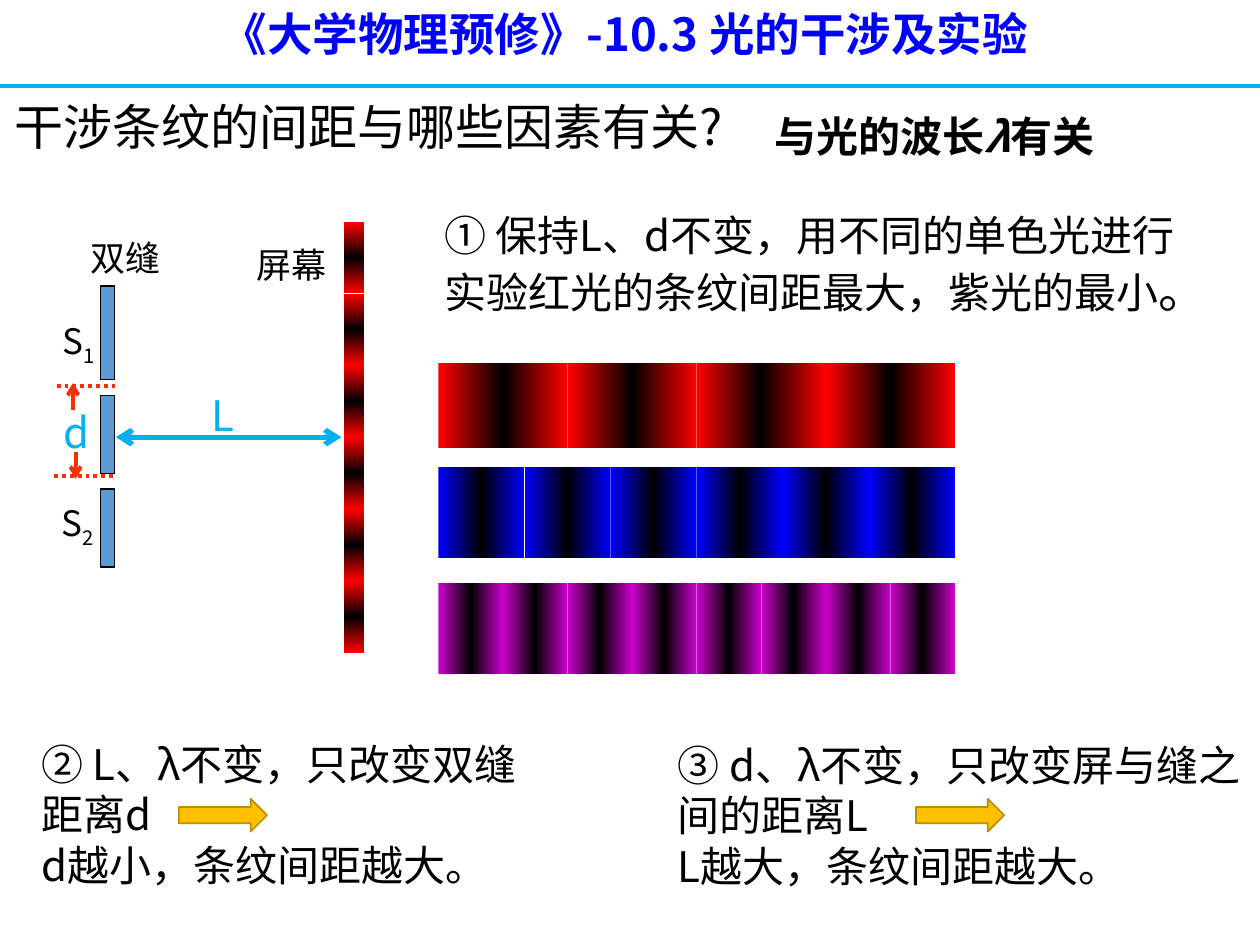
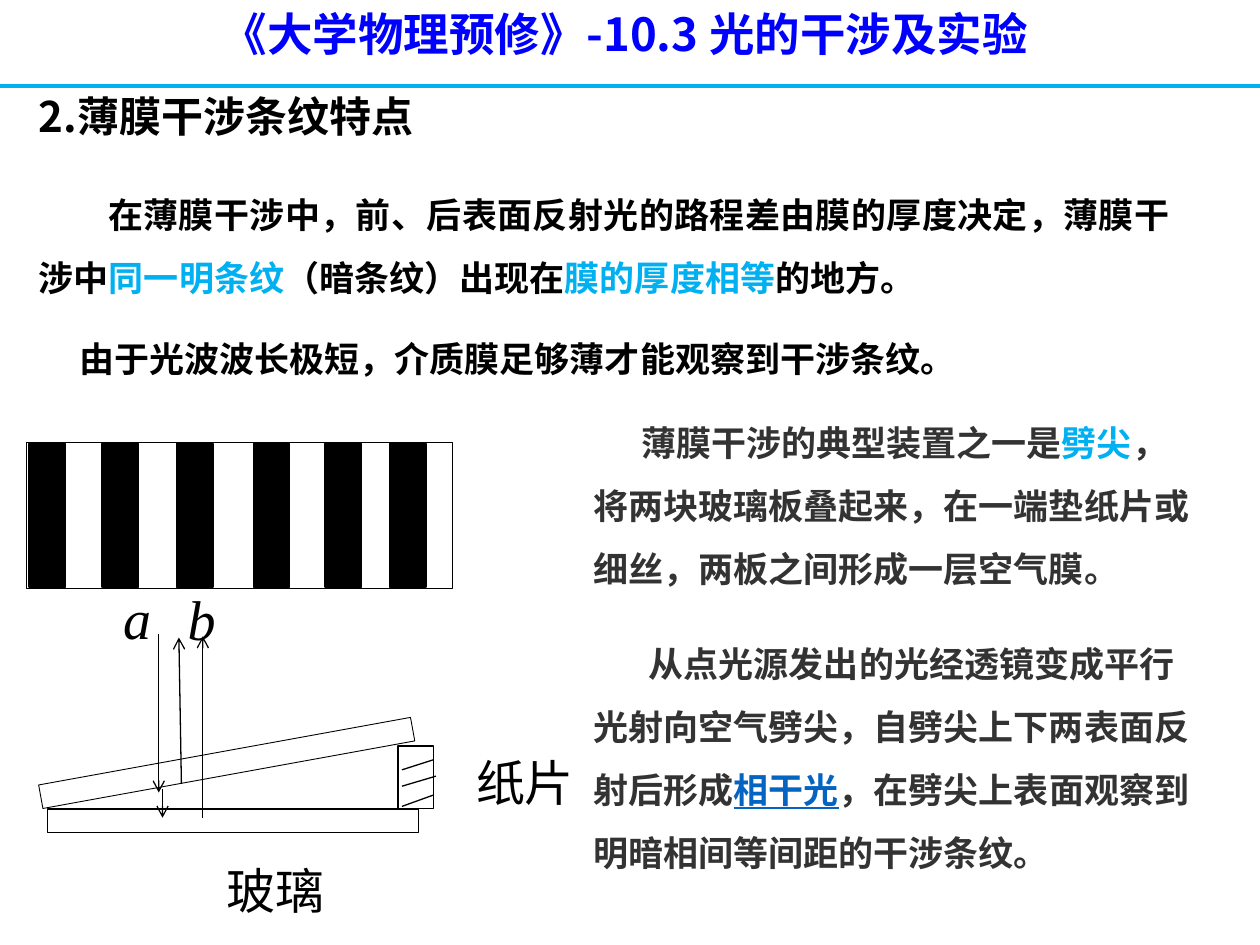
from dataclasses import dataclass
from functools import partial
from typing import NamedTuple, Optional

from lxml import etree
from pptx import Presentation
from pptx.dml.color import RGBColor
from pptx.enum.dml import MSO_LINE_DASH_STYLE as Dash
from pptx.enum.shapes import MSO_CONNECTOR, MSO_SHAPE as Preset
from pptx.enum.text import MSO_AUTO_SIZE as AutoSize, PP_ALIGN as Align
from pptx.oxml import parse_xml
from pptx.oxml.ns import nsdecls, qn
from pptx.util import Inches, Pt

CJK, SERIF = "Noto Sans CJK SC", "Times New Roman"
BLACK, WHITE, GREY = "000000", "FFFFFF", "333333"
SKY, TITLE_BLUE, LINK_BLUE = "00B0F0", "0000FF", "0563C1"
SLIT_BLUE, MARK_RED, GOLD, GOLD_EDGE = "5B9BD5", "F2310A", "FFC000", "BD8E00"


class Box(NamedTuple):
    left: float
    top: float
    width: float
    height: float


@dataclass(frozen=True)
class Run:
    text: str
    size: float = 24
    color: str = BLACK
    bold: bool = False
    italic: bool = False
    underline: bool = False
    subscript: bool = False
    font: str = CJK


@dataclass(frozen=True)
class Para:
    runs: tuple[Run, ...]
    align: Align = Align.LEFT
    spacing: Optional[float] = None
    before: float = 0
    indent: float = 0


@dataclass(frozen=True)
class Label:
    box: Box
    run: Run
    wrap: bool = False
    grow: bool = True
    align: Align = Align.LEFT


@dataclass(frozen=True)
class Stroke:
    start: tuple[float, float]
    end: tuple[float, float]
    color: str = BLACK
    width: float = 0.75
    head: bool = False
    tail: bool = False
    dotted: bool = False


@dataclass(frozen=True)
class FringeRow:
    color: str
    count: int
    top: float
    height: float


def rgb(color: str) -> RGBColor:
    return RGBColor.from_string(color)


def add_text(slide, box: Box, paras: list[Para], wrap: bool = True, grow: bool = True) -> None:
    frame = slide.shapes.add_textbox(*map(Inches, box)).text_frame
    frame.word_wrap = wrap
    frame.auto_size = AutoSize.SHAPE_TO_FIT_TEXT if grow else AutoSize.NONE
    for number, para in enumerate(paras):
        line = frame.add_paragraph() if number else frame.paragraphs[0]
        line.alignment = para.align
        if para.spacing:
            line.line_spacing = para.spacing
        if para.before:
            line.space_before = Pt(para.before)
        if para.indent:
            line._p.get_or_add_pPr().set("indent", str(Inches(para.indent)))
        for part in para.runs:
            add_run(line, part)


def add_run(line, part: Run) -> None:
    run = line.add_run()
    run.text = part.text
    font = run.font
    font.name, font.size = part.font, Pt(part.size)
    font.bold, font.italic, font.underline = part.bold, part.italic, part.underline
    font.color.rgb = rgb(part.color)
    properties = run._r.get_or_add_rPr()
    etree.SubElement(properties, qn("a:ea")).set("typeface", CJK)
    if part.subscript:
        properties.set("baseline", "-25000")


def add_label(slide, label: Label) -> None:
    add_text(slide, label.box, [Para((label.run,), label.align)], label.wrap, label.grow)


def add_block(slide, box: Box, fill: str, edge: Optional[str] = BLACK,
              width: float = 0.75, preset: Preset = Preset.RECTANGLE):
    block = slide.shapes.add_shape(preset, *map(Inches, box))
    block.shadow.inherit = False
    block.fill.solid()
    block.fill.fore_color.rgb = rgb(fill)
    if edge:
        block.line.color.rgb = rgb(edge)
        block.line.width = Pt(width)
    else:
        block.line.fill.background()
    return block


def add_fringe(slide, box: Box, color: str, angle: int = 0) -> None:
    """Draw one fringe period: bright, dark, bright."""
    properties = add_block(slide, box, color, edge=None)._element.spPr
    stops = "".join(f'<a:gs pos="{place * 1000}"><a:srgbClr val="{shade}"/></a:gs>'
                    for place, shade in ((0, color), (50, BLACK), (100, color)))
    gradient = parse_xml(f'<a:gradFill {nsdecls("a")} rotWithShape="1"><a:gsLst>{stops}</a:gsLst>'
                         f'<a:lin ang="{angle * 60000}" scaled="1"/></a:gradFill>')
    properties.replace(properties.find(qn("a:solidFill")), gradient)


def add_stroke(slide, stroke: Stroke) -> None:
    line = slide.shapes.add_connector(MSO_CONNECTOR.STRAIGHT,
                                      *map(Inches, stroke.start + stroke.end))
    line.line.color.rgb = rgb(stroke.color)
    line.line.width = Pt(stroke.width)
    if stroke.dotted:
        line.line.dash_style = Dash.ROUND_DOT
    outline = line.line._get_or_add_ln()
    for tag, wanted in (("a:headEnd", stroke.head), ("a:tailEnd", stroke.tail)):
        if wanted:
            etree.SubElement(outline, qn(tag)).set("type", "arrow")
    etree.SubElement(line._element.spPr, qn("a:effectLst"))


def new_slide(deck):
    """Add a slide with the course heading and its rule."""
    slide = deck.slides.add_slide(deck.slide_layouts[6])
    heading = Run("《大学物理预修》-10.3 光的干涉及实验", 26, TITLE_BLUE, bold=True)
    add_label(slide, Label(Box(1.21, 0, 7.5, 0.54), heading, wrap=True, align=Align.CENTER))
    add_stroke(slide, Stroke((0, 0.68), (10, 0.68), SKY, 2.25))
    return slide


def draw_double_slit(slide) -> None:
    for top, height in ((2.27, 0.74), (3.14, 0.62), (3.88, 0.62)):
        add_block(slide, Box(0.8, top, 0.11, height), SLIT_BLUE)
    for name, box in (("双缝", Box(0.62, 1.83, 0.76, 0.44)), ("屏幕", Box(1.94, 1.88, 0.76, 0.43))):
        add_label(slide, Label(box, Run(name, 20)))
    for number, left, top in (("1", 0.4, 2.49), ("2", 0.39, 3.93)):
        source = Para((Run("S", 20), Run(number, 20, subscript=True)))
        add_text(slide, Box(left, top, 0.47, 0.44), [source], wrap=False)

    period = 0.57
    for row in range(6):
        for left in (2.73, 2.81):
            add_fringe(slide, Box(left, 1.76 + row * period, 0.08, period), "FF0000", 90)

    add_label(slide, Label(Box(1.58, 3.04, 0.39, 0.5), Run("L", color=SKY)))
    add_label(slide, Label(Box(0.41, 3.18, 0.53, 0.5), Run("d", color=SKY)))
    mark = partial(Stroke, color=MARK_RED, width=2.25)
    for stroke in (
        Stroke((0.92, 3.47), (2.71, 3.47), SKY, 3, head=True, tail=True),
        mark((0.45, 3.06), (0.94, 3.06), dotted=True),
        mark((0.43, 3.78), (0.92, 3.78), dotted=True),
        mark((0.58, 3.25), (0.58, 3.04), tail=True),
        mark((0.6, 3.59), (0.6, 3.8), tail=True),
    ):
        add_stroke(slide, stroke)


def draw_spectrum(slide) -> None:
    left, total = 3.48, 4.1
    for row in (FringeRow("FF0000", 4, 2.88, 0.68), FringeRow("0000FF", 6, 3.71, 0.72),
                FringeRow("CC00CC", 8, 4.63, 0.72)):
        period = total / row.count
        for number in range(row.count):
            add_fringe(slide, Box(left + number * period, row.top, period, row.height), row.color)


def build_spacing_slide(deck) -> None:
    slide = new_slide(deck)
    draw_double_slit(slide)
    draw_spectrum(slide)
    question = Run("干涉条纹的间距与哪些因素有关?", 28)
    add_label(slide, Label(Box(0.02, 0.72, 5.83, 0.57), question, wrap=True))
    add_text(slide, Box(6.05, 0.83, 3.25, 0.5), [Para((
        Run("与光的波长", bold=True), Run("λ", bold=True, italic=True), Run("有关", bold=True)))])
    add_text(slide, Box(3.43, 1.61, 6.25, 0.98), [Para((
        Run("① 保持L、d不变，用不同的单色光进行实验红光的条纹间距最大，紫光的最小"),
        Run("。", 28)))])
    for box, change, effect, arrow_left in (
        (Box(5.28, 5.82, 4.68, 1.31), "③ d、λ不变，只改变屏与缝之间的距离L",
         "L越大，条纹间距越大。", 7.27),
        (Box(0.23, 5.81, 4.27, 1.31), "② L、λ不变，只改变双缝距离d",
         "d越小，条纹间距越大。", 1.42),
    ):
        add_text(slide, box, [Para((Run(change),)), Para((Run(effect),))])
        add_block(slide, Box(arrow_left, 6.34, 0.7, 0.26), GOLD, GOLD_EDGE, 1, Preset.RIGHT_ARROW)


def draw_wedge(slide) -> None:
    add_block(slide, Box(0.38, 6.42, 2.94, 0.19), WHITE)
    add_block(slide, Box(0.3, 5.96, 3, 0.19), WHITE, width=0.5).rotation = 349.7
    for start, end in (((1.26, 5.03), (1.26, 6.29)), ((1.44, 6.22), (1.42, 5.06)),
                       ((1.29, 6.26), (1.29, 6.49)), ((1.61, 6.49), (1.61, 5.05))):
        add_stroke(slide, Stroke(start, end, tail=True))
    add_block(slide, Box(3.16, 5.92, 0.28, 0.5), WHITE)
    for start, end in (((3.19, 6.4), (3.44, 6.31)), ((3.19, 6.11), (3.44, 6.03)),
                       ((3.19, 6.24), (3.46, 6.16))):
        add_stroke(slide, Stroke(start, end))
    ray = partial(Run, size=32, italic=True, font=SERIF)
    part = partial(Run, size=28, font=SERIF)
    caption = partial(Label, wrap=True, grow=False)
    for label in (
        caption(Box(0.88, 4.58, 0.53, 0.44), ray("a")),
        caption(Box(1.39, 4.59, 1, 0.87), ray("b")),
        caption(Box(1.5, 6.78, 1.37, 0.46), part("玻璃"), align=Align.CENTER),
        caption(Box(3.68, 5.92, 1.16, 0.62), part("纸片")),
    ):
        add_label(slide, label)


def draw_wedge_fringes(slide) -> None:
    add_block(slide, Box(0.21, 3.51, 3.38, 1.16), WHITE)
    for left in (0.23, 0.81, 1.4, 2.01, 2.58, 3.09):
        add_block(slide, Box(left, 3.52, 0.29, 1.14), BLACK)


def build_thin_film_slide(deck) -> None:
    slide = new_slide(deck)
    bold = partial(Run, size=20, bold=True)
    body = partial(Para, align=Align.JUSTIFY, spacing=1.5)
    add_text(slide, Box(0.21, 0.67, 9.17, 2.49), [
        Para((Run("2.薄膜干涉条纹特点", bold=True),), Align.JUSTIFY),
        body((bold("在薄膜干涉中，前、后表面反射光的路程差由膜的厚度决定，薄膜干涉中"),
              bold("同一明条纹", color=SKY), bold("（暗条纹）出现在"),
              bold("膜的厚度相等", color=SKY), bold("的地方。")), before=18, indent=0.55),
        body((bold("由于光波波长极短，介质膜足够薄才能观察到干涉条纹。"),), before=10, indent=0.32),
    ])
    draw_wedge(slide)
    draw_wedge_fringes(slide)
    grey = partial(bold, color=GREY)
    add_text(slide, Box(4.61, 3.13, 4.98, 1.61), [Para((
        grey("薄膜干涉的典型装置之一是"), bold("劈尖", color=SKY),
        grey("，将两块玻璃板叠起来，在一端垫纸片或细丝，两板之间形成一层空气膜。")),
        spacing=1.5, indent=0.38)])
    add_text(slide, Box(4.61, 4.88, 5.01, 2.12), [Para((
        grey("从点光源发出的光经透镜变成平行光射向空气劈尖，自劈尖上下两表面反射后形成"),
        bold("相干光", color=LINK_BLUE, underline=True),
        grey("，在劈尖上表面观察到明暗相间等间距的干涉条纹。")),
        spacing=1.5, indent=0.44)])


def main() -> None:
    deck = Presentation()
    deck.slide_width, deck.slide_height = Inches(10), Inches(7.5)
    build_spacing_slide(deck)
    build_thin_film_slide(deck)
    deck.save("out.pptx")


if __name__ == "__main__":
    main()
